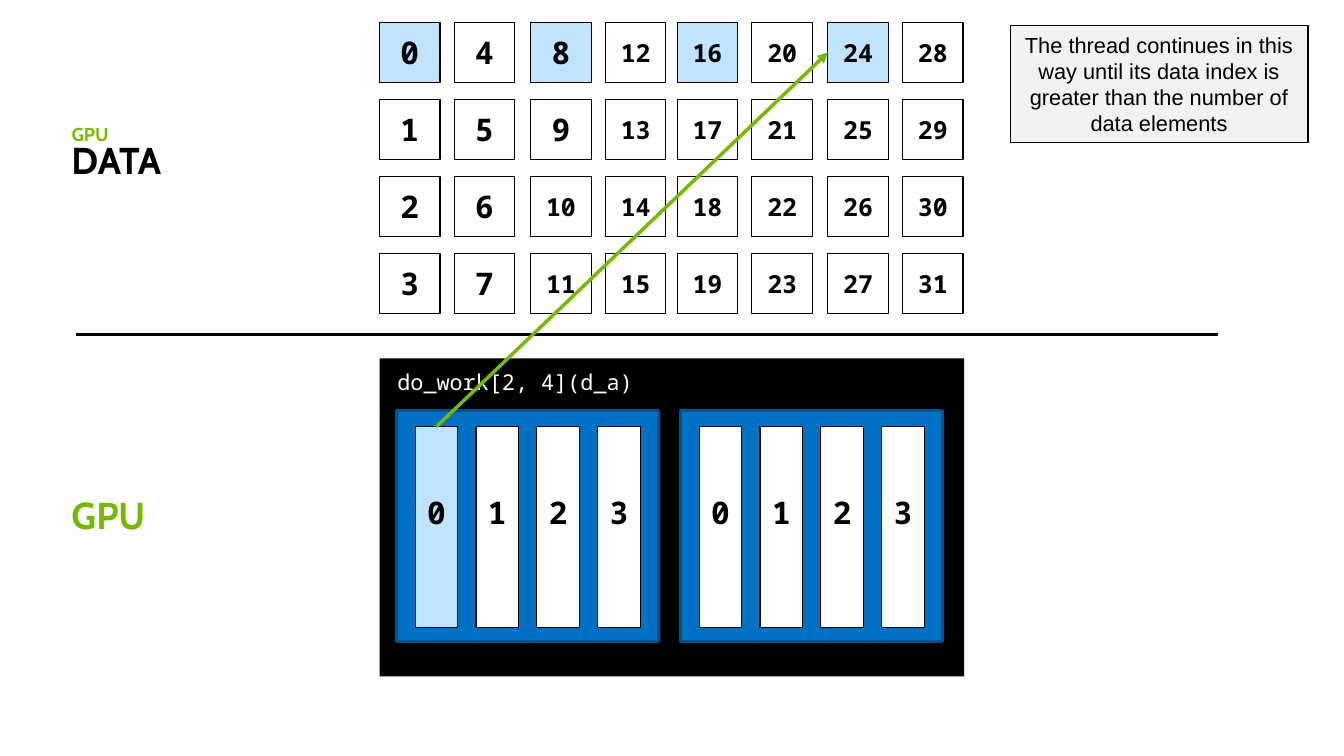
from dataclasses import dataclass

from lxml import etree
from pptx import Presentation
from pptx.dml.color import RGBColor
from pptx.enum.shapes import MSO_CONNECTOR, MSO_SHAPE
from pptx.enum.text import MSO_ANCHOR, PP_ALIGN
from pptx.oxml.ns import qn
from pptx.util import Pt

RECTANGLE = MSO_SHAPE.RECTANGLE
STRAIGHT = MSO_CONNECTOR.STRAIGHT
LEFT, CENTER = PP_ALIGN.LEFT, PP_ALIGN.CENTER
TOP, MIDDLE, BOTTOM = MSO_ANCHOR.TOP, MSO_ANCHOR.MIDDLE, MSO_ANCHOR.BOTTOM
TOP_SIDE, LEFT_SIDE = 0, 1


@dataclass(frozen=True)
class Theme:
    black: str = "000000"
    white: str = "FFFFFF"
    green: str = "76B900"
    block: str = "0071C5"
    block_edge: str = "00528F"
    active: str = "C0E3FE"
    note: str = "F2F2F2"
    heading_font: str = "Cabin"
    code_font: str = "Noto Sans Mono"
    note_font: str = "Arial"
    heading: int = 24
    digit: int = 20
    two_digits: int = 16
    body: int = 14
    kicker: int = 12
    thin: float = 0.75


class SlideBuilder:
    def __init__(self, slide, theme):
        self.shapes = slide.shapes
        self.theme = theme

    def set_text(self, shape, text, font, size, color, bold=False,
                 align=LEFT, anchor=MIDDLE, spacing=None):
        frame = shape.text_frame
        frame.word_wrap = True
        frame.vertical_anchor = anchor
        frame.text = text
        paragraph = frame.paragraphs[0]
        paragraph.alignment = align
        paragraph.line_spacing = spacing
        paragraph.font.name = font
        paragraph.font.size = Pt(size)
        paragraph.font.bold = bold
        paragraph.font.color.rgb = RGBColor.from_string(color)

    def box(self, x, y, width, height, fill, edge=None, weight=Theme.thin):
        shape = self.shapes.add_shape(RECTANGLE, Pt(x), Pt(y), Pt(width), Pt(height))
        shape.shadow.inherit = False
        shape.fill.solid()
        shape.fill.fore_color.rgb = RGBColor.from_string(fill)
        if edge:
            shape.line.color.rgb = RGBColor.from_string(edge)
            shape.line.width = Pt(weight)
        else:
            shape.line.fill.background()
        return shape

    def number(self, value, center_x, center_y):
        """Centre an index on a point, smaller when it has two digits."""
        theme = self.theme
        size = theme.digit if value < 10 else theme.two_digits
        width, height = 37.4, 31.6 if value < 10 else 26.6
        label = self.shapes.add_textbox(
            Pt(center_x - width / 2), Pt(center_y - height / 2), Pt(width), Pt(height))
        self.set_text(label, str(value), theme.code_font, size, theme.black,
                      bold=True, align=CENTER)

    def heading(self, text, x, y, width, height, size, color):
        label = self.shapes.add_textbox(Pt(x), Pt(y), Pt(width), Pt(height))
        self.set_text(label, text, self.theme.heading_font, size, color,
                      bold=True, anchor=BOTTOM, spacing=0.9)

    def line(self, x1, y1, x2, y2, color, weight):
        connector = self.shapes.add_connector(STRAIGHT, Pt(x1), Pt(y1), Pt(x2), Pt(y2))
        connector.line.color.rgb = RGBColor.from_string(color)
        connector.line.width = Pt(weight)
        etree.SubElement(connector._element.spPr, qn("a:effectLst"))
        return connector

    def arrow(self, source, source_side, target, target_side, color, weight):
        connector = self.line(0, 0, 0, 0, color, weight)
        connector.begin_connect(source, source_side)
        connector.end_connect(target, target_side)
        etree.SubElement(connector.line._get_or_add_ln(), qn("a:tailEnd"), type="triangle")


def draw_kernel(builder):
    """Draw the launched kernel with its thread blocks; return all thread bars."""
    theme = builder.theme
    builder.box(244, 230.4, 375.8, 204.5, theme.black)
    call = builder.box(248.4, 236.2, 220.3, 18, theme.black)
    builder.set_text(call, "do_work[2, 4](d_a)", theme.code_font, theme.body, theme.white)

    threads = []
    bar_width = 27.4
    for block in range(2):
        block_x = 254.9 + block * 182.6
        builder.box(block_x, 264.2, 168.5, 148.3, theme.block, theme.block_edge, 2)
        for thread in range(4):
            x = block_x + 12 + thread * 39.1
            fill = theme.white if threads else theme.active
            threads.append(builder.box(x, 274.3, bar_width, 128.9, fill, theme.black))
            builder.number(thread, x + bar_width / 2, 329)
    return threads


def draw_data(builder):
    """Draw the data elements column by column; return their cells by index."""
    theme = builder.theme
    cells = []
    size, rows = 38.9, 4
    pair_lefts = (244, 341.2, 435.4, 532.2)
    column_lefts = [left + offset for left in pair_lefts for offset in (0, 48)]
    for column, x in enumerate(column_lefts):
        for row in range(rows):
            y = 14.3 + row * 49.5
            index = column * rows + row
            fill = theme.active if index % 8 == 0 else theme.white
            cells.append(builder.box(x, y, size, size, fill, theme.black))
            builder.number(index, x + size / 2, y + size / 2)
    return cells


def main():
    presentation = Presentation()
    presentation.slide_width, presentation.slide_height = Pt(864), Pt(486)
    slide = presentation.slides.add_slide(presentation.slide_layouts[6])
    theme = Theme()
    builder = SlideBuilder(slide, theme)

    threads = draw_kernel(builder)
    cells = draw_data(builder)
    builder.line(48.8, 215.1, 782.8, 215.1, theme.black, 1.5)

    builder.heading("GPU", 38.9, 316.1, 69.8, 33.1, theme.heading, theme.green)
    builder.heading("DATA", 38.9, 87.8, 79.2, 33.1, theme.heading, theme.black)
    builder.heading("GPU", 38.9, 77, 39.6, 20.2, theme.kicker, theme.green)

    builder.arrow(threads[0], TOP_SIDE, cells[24], LEFT_SIDE, theme.green, 2.25)

    note = builder.box(649.4, 16.6, 191.5, 74.9, theme.note, theme.black)
    builder.set_text(
        note,
        "The thread continues in this way until its data index is "
        "greater than the number of data elements",
        theme.note_font, theme.body, theme.black, align=CENTER, anchor=TOP)

    presentation.save("out.pptx")


if __name__ == "__main__":
    main()
